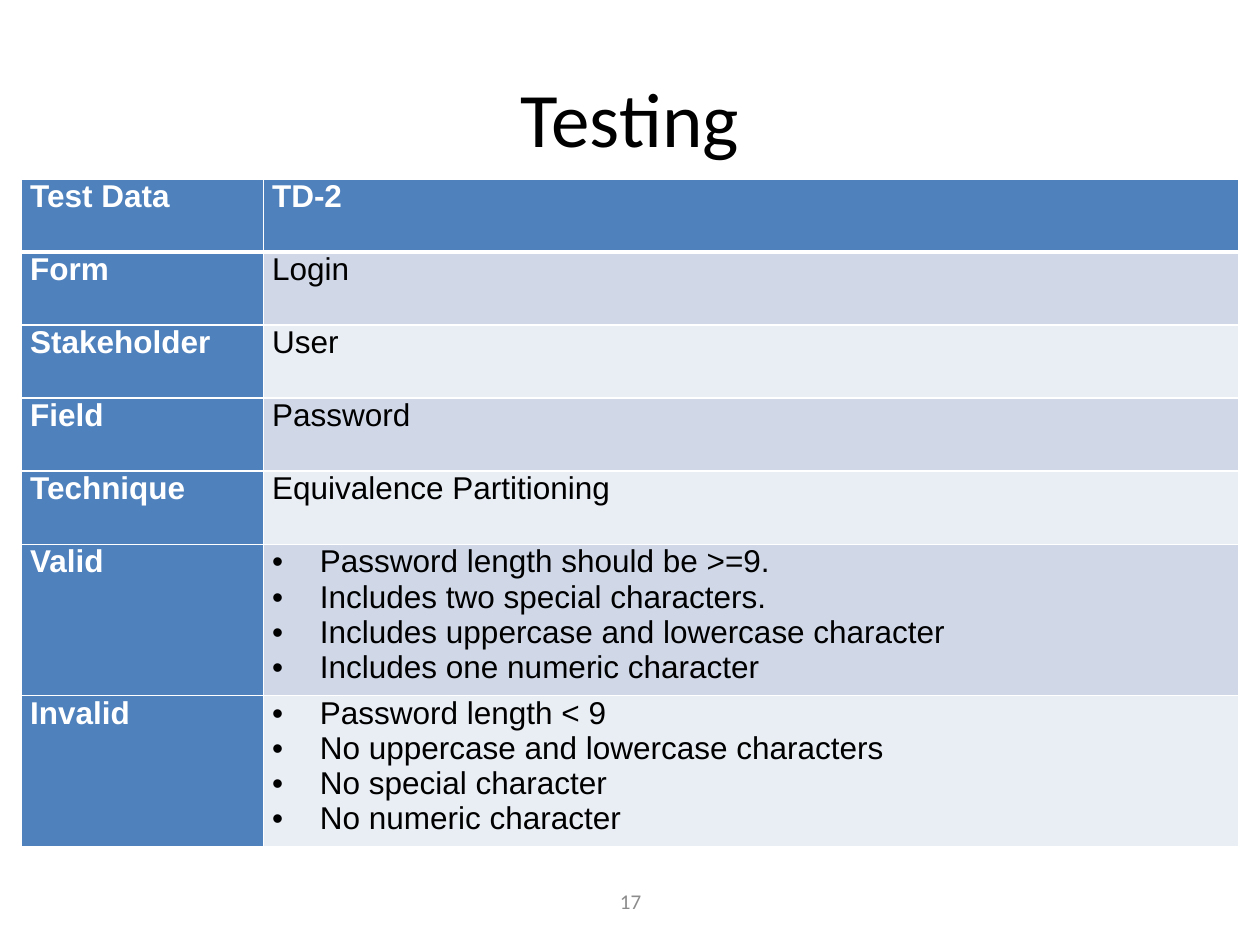
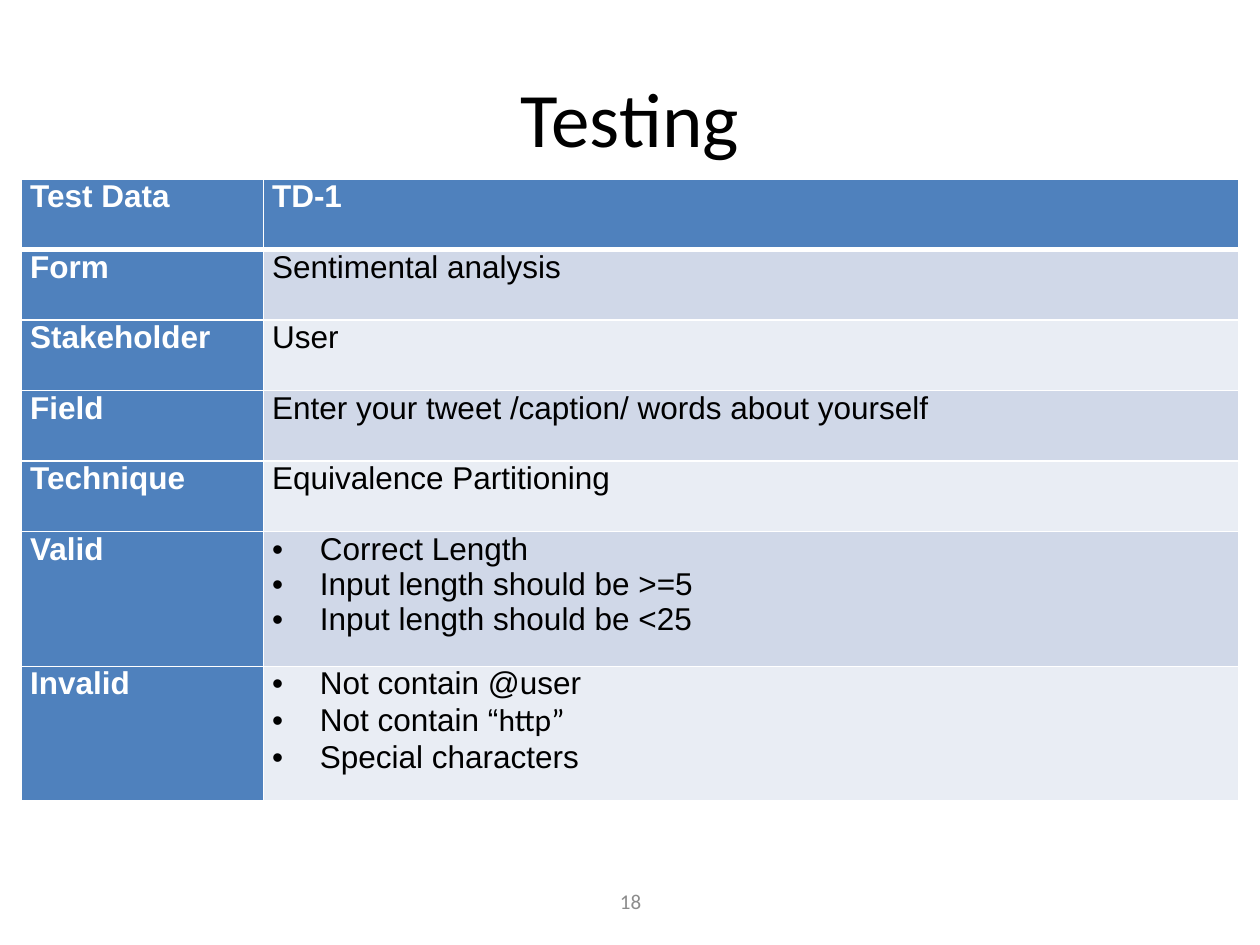
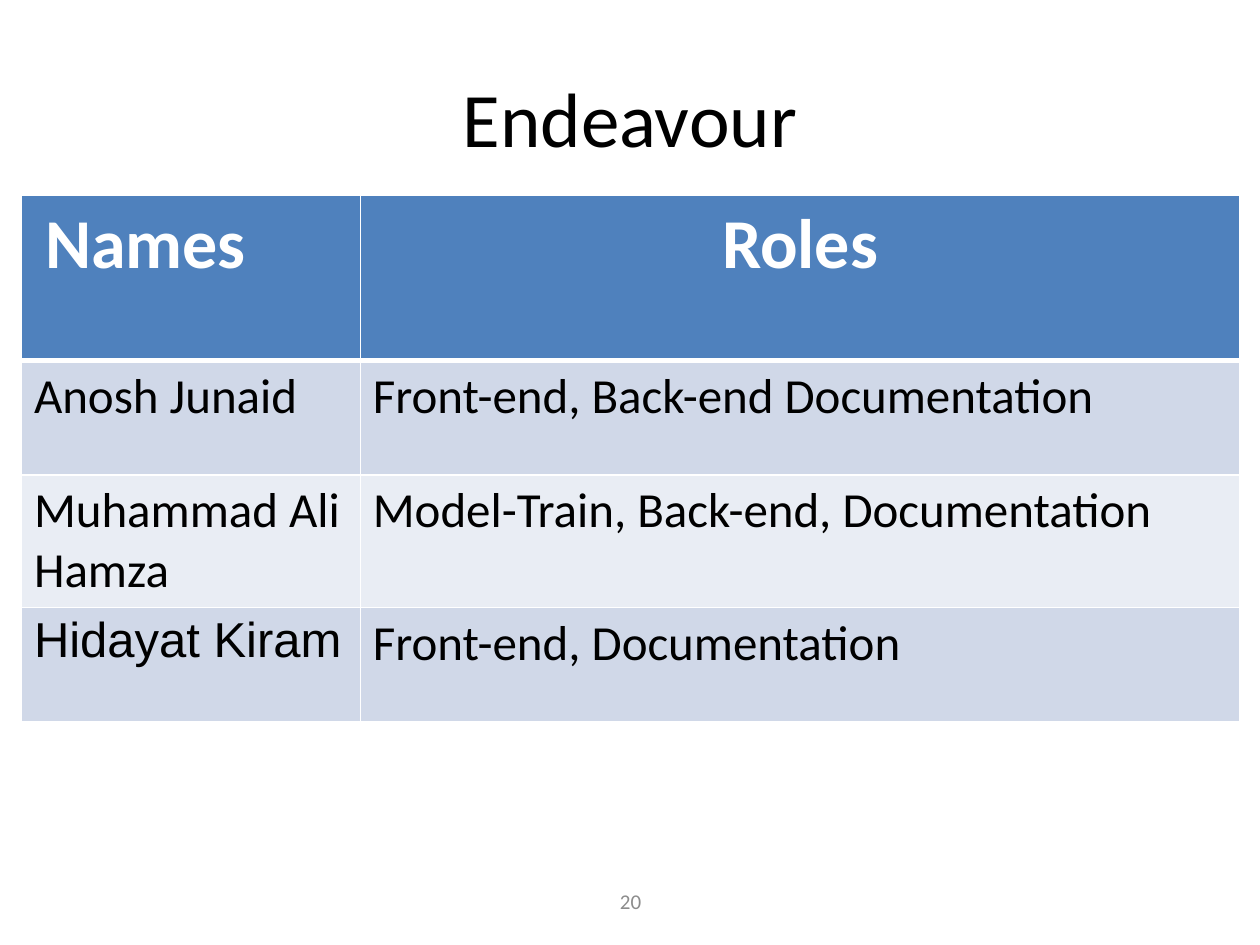
from dataclasses import dataclass

from lxml import etree
from pptx import Presentation
from pptx.dml.color import RGBColor
from pptx.enum.text import MSO_ANCHOR, PP_ALIGN
from pptx.oxml.ns import qn
from pptx.util import Inches, Pt

CENTER, JUSTIFY, LEFT = PP_ALIGN.CENTER, PP_ALIGN.JUSTIFY, PP_ALIGN.LEFT
MIDDLE = MSO_ANCHOR.MIDDLE


@dataclass(frozen=True)
class Theme:
    heading_font: str = "Calibri"
    data_font: str = "Arial"
    title_size: int = 44
    heading_size: int = 40
    role_size: int = 28
    data_size: int = 18
    number_size: int = 12
    black: str = "000000"
    white: str = "FFFFFF"
    blue: str = "4F81BD"
    bands: tuple = ("D0D8E8", "E9EDF4")
    gray: str = "8C8C8C"
    thin_line: int = 1
    thick_line: int = 3


@dataclass(frozen=True)
class TextStyle:
    size: int
    font: str
    color: str
    bold: bool = False
    align: int = LEFT
    indent: float = 0
    bullet: bool = False


THEME = Theme()
TITLE = TextStyle(THEME.title_size, THEME.heading_font, THEME.black, align=CENTER)
NUMBER = TextStyle(THEME.number_size, THEME.heading_font, THEME.gray, align=CENTER)
LABEL = TextStyle(THEME.data_size, THEME.data_font, THEME.white, True, JUSTIFY)
VALUE = TextStyle(THEME.data_size, THEME.data_font, THEME.black, align=JUSTIFY)
BULLET = TextStyle(THEME.data_size, THEME.data_font, THEME.black, False, JUSTIFY, 0.38, True)
NAMES_HEADING = TextStyle(THEME.heading_size, THEME.heading_font, THEME.white, True, indent=0.09)
ROLES_HEADING = TextStyle(THEME.heading_size, THEME.heading_font, THEME.white, True, CENTER)
ROLE = TextStyle(THEME.role_size, THEME.heading_font, THEME.black)
ROLE_ARIAL = TextStyle(THEME.role_size, THEME.data_font, THEME.black)


class Deck:
    def __init__(self, theme):
        self.theme = theme
        self.presentation = Presentation()
        self.presentation.slide_width = Inches(10)
        self.presentation.slide_height = Inches(7.5)
        self.slide = None

    def add_slide(self, title, number):
        layout = self.presentation.slide_layouts[6]
        self.slide = self.presentation.slides.add_slide(layout)
        self.text_box(0.5, 0.3, 9, 1.25, title, TITLE)
        self.text_box(3.42, 6.95, 3.17, 0.4, str(number), NUMBER)

    def text_box(self, left, top, width, height, text, style):
        shape = self.slide.shapes.add_textbox(
            Inches(left), Inches(top), Inches(width), Inches(height))
        frame = shape.text_frame
        frame.word_wrap = True
        frame.vertical_anchor = MIDDLE
        self.add_text(frame, [text], style)

    def add_text(self, frame, lines, style):
        for index, line in enumerate(lines):
            paragraph = frame.add_paragraph() if index else frame.paragraphs[0]
            paragraph.alignment = style.align
            self.indent(paragraph, style)
            runs = [(line, style.font)] if isinstance(line, str) else line
            for text, font_name in runs:
                run = paragraph.add_run()
                run.text = text
                run.font.name = font_name
                run.font.size = Pt(style.size)
                run.font.bold = style.bold
                run.font.color.rgb = RGBColor.from_string(style.color)

    def indent(self, paragraph, style):
        if not style.indent:
            return
        properties = paragraph._p.get_or_add_pPr()
        properties.set("marL", str(Inches(style.indent)))
        if style.bullet:
            properties.set("indent", str(-Inches(style.indent)))
            etree.SubElement(properties, qn("a:buFont"), typeface=self.theme.data_font)
            etree.SubElement(properties, qn("a:buChar"), char="•")

    def table(self, top, columns, heights, rows, fill_for, margins):
        frame = self.slide.shapes.add_table(
            len(rows), len(columns), Inches(0.17), Inches(top),
            Inches(sum(columns)), Inches(sum(heights)))
        table = frame.table
        for column, width in zip(table.columns, columns):
            column.width = Inches(width)
        for row_index, (row, height) in enumerate(zip(rows, heights)):
            table.rows[row_index].height = Inches(height)
            for column_index, (lines, style) in enumerate(row):
                cell = table.cell(row_index, column_index)
                cell.margin_left = cell.margin_right = Inches(margins[0])
                cell.margin_top = cell.margin_bottom = Inches(margins[1])
                self.borders(cell, row_index)
                cell.fill.solid()
                fill = fill_for(row_index, column_index)
                cell.fill.fore_color.rgb = RGBColor.from_string(fill)
                self.add_text(cell.text_frame, lines, style)

    def borders(self, cell, row_index):
        properties = cell._tc.get_or_add_tcPr()
        thick_side = {0: "B", 1: "T"}.get(row_index)
        for side in "LRTB":
            width = self.theme.thick_line if side == thick_side else self.theme.thin_line
            line = etree.SubElement(properties, qn(f"a:ln{side}"), w=str(Pt(width)))
            fill = etree.SubElement(line, qn("a:solidFill"))
            etree.SubElement(fill, qn("a:srgbClr"), val=self.theme.white)

    def band(self, row_index):
        return self.theme.bands[(row_index - 1) % 2] if row_index else self.theme.blue

    def test_table(self, short_height, tall_height, test_id, facts, valid, invalid):
        rows = [[(["Test Data"], LABEL), ([test_id], LABEL)]]
        for label, value in zip(("Form", "Stakeholder", "Field", "Technique"), facts):
            rows.append([([label], LABEL), ([value], VALUE)])
        for label, lines in (("Valid", valid), ("Invalid", invalid)):
            rows.append([([label], LABEL), (lines, BULLET)])
        heights = [short_height] * 5 + [tall_height] * 2
        self.table(
            1.42, (1.92, 7.74), heights, rows,
            lambda row, column: self.band(row) if column else self.theme.blue, (0.07, 0))

    def role_table(self, members):
        rows = [[(["Names"], NAMES_HEADING), (["Roles"], ROLES_HEADING)]]
        rows += [[([name], style), ([role], ROLE)] for name, style, role in members]
        self.table(
            1.55, (2.69, 6.98), (1.31, 0.91, 1.05, 0.91), rows,
            lambda row, column: self.band(row), (0.1, 0.05))


def main():
    deck = Deck(THEME)

    deck.add_slide("Testing", 17)
    deck.test_table(
        0.58, 1.17, "TD-2",
        ("Login", "User", "Password", "Equivalence Partitioning"),
        ("Password length should be >=9.", "Includes two special characters.",
         "Includes uppercase and lowercase character", "Includes one numeric character"),
        ("Password length < 9", "No uppercase and lowercase characters",
         "No special character", "No numeric character"))

    deck.add_slide("Testing", 18)
    deck.test_table(
        0.56, 1.07, "TD-1",
        ("Sentimental analysis", "User",
         "Enter your tweet /caption/ words about yourself", "Equivalence Partitioning"),
        ("Correct Length", "Input length should be >=5", "Input length should be <25"),
        ("Not contain @user",
         [("Not contain “", THEME.data_font), ("http”", THEME.heading_font)],
         "Special characters"))

    deck.add_slide("Endeavour", 20)
    deck.role_table((
        ("Anosh Junaid", ROLE, "Front-end, Back-end Documentation"),
        ("Muhammad Ali Hamza", ROLE, "Model-Train, Back-end, Documentation"),
        ("Hidayat Kiram", ROLE_ARIAL, "Front-end, Documentation")))

    deck.presentation.save("out.pptx")


if __name__ == "__main__":
    main()
